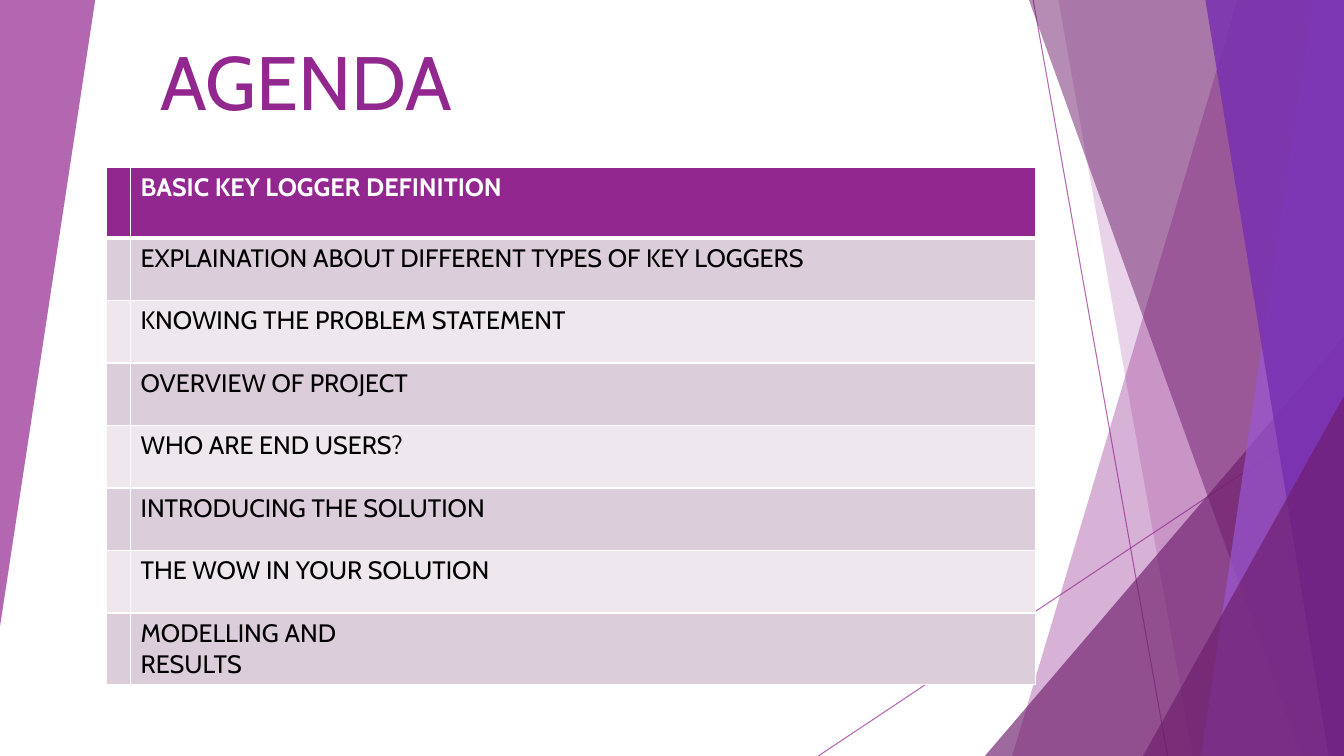
from dataclasses import dataclass

from lxml.etree import SubElement
from pptx import Presentation
from pptx.dml.color import RGBColor
from pptx.enum.shapes import MSO_CONNECTOR, MSO_SHAPE
from pptx.enum.text import MSO_ANCHOR
from pptx.oxml import parse_xml
from pptx.oxml.ns import nsdecls, qn
from pptx.util import Pt


@dataclass(frozen=True)
class Theme:
    font: str = "Cabin"
    title: float = 54
    body: float = 18
    main: str = "92278F"
    dark: str = "6D1D6B"
    light: str = "9B57D3"
    deep: str = "762EB1"
    odd: str = "DCCDDB"
    even: str = "EEE8EE"
    white: str = "FFFFFF"
    black: str = "000000"


THEME = Theme()
WIDE, HIGH = 960, 540
ITEMS = [
    "BASIC KEY LOGGER DEFINITION",
    "EXPLAINATION ABOUT DIFFERENT TYPES OF KEY LOGGERS",
    "KNOWING THE PROBLEM STATEMENT",
    "OVERVIEW OF PROJECT",
    "WHO ARE END USERS?",
    "INTRODUCING THE SOLUTION",
    "THE WOW IN YOUR SOLUTION",
    "MODELLING AND\nRESULTS",
]


def fade(shape, alpha):
    for color in shape.element.spPr.iter(qn("a:srgbClr")):
        SubElement(color, qn("a:alpha")).set("val", str(alpha * 1000))


def paint(shape, color, alpha):
    shape.shadow.inherit = False
    shape.fill.solid()
    shape.fill.fore_color.rgb = RGBColor.from_string(color)
    shape.line.fill.background()
    fade(shape, alpha)


def add_facet(slide, points, color, alpha):
    spots = [(Pt(x), Pt(y)) for x, y in points]
    pen = slide.shapes.build_freeform(*spots[0])
    pen.add_line_segments(spots[1:], close=True)
    paint(pen.convert_to_shape(), color, alpha)


def add_band(slide, top, base, color, alpha):
    points = [(top, 0), (WIDE, 0), (WIDE, HIGH), (base, HIGH)]
    add_facet(slide, points, color, alpha)


def add_wedge(slide, left, top, color, alpha):
    shape = slide.shapes.add_shape(
        MSO_SHAPE.ISOSCELES_TRIANGLE,
        Pt(left), Pt(top), Pt(WIDE - left), Pt(HIGH - top))
    shape.adjustments[0] = 1
    paint(shape, color, alpha)


def add_ray(slide, start, end):
    ray = slide.shapes.add_connector(
        MSO_CONNECTOR.STRAIGHT, *(Pt(n) for n in start + end))
    ray.line.width = Pt(0.75)
    ray.line.color.rgb = RGBColor.from_string(THEME.main)
    fade(ray, 70)
    SubElement(ray.element.spPr, qn("a:effectLst"))


def write(frame, text, size, color, bold=False):
    frame.text = text
    for line in frame.paragraphs:
        for run in line.runs:
            run.font.name = THEME.font
            run.font.size = Pt(size)
            run.font.bold = bold
            run.font.color.rgb = RGBColor.from_string(color)


def add_title(slide, text):
    box = slide.shapes.add_textbox(Pt(107.3), Pt(19.4), Pt(296), Pt(74.2))
    frame = box.text_frame
    frame.word_wrap = True
    frame.vertical_anchor = MSO_ANCHOR.BOTTOM
    write(frame, text, THEME.title, THEME.main)


def style_cell(cell, color, row):
    cell.fill.solid()
    cell.fill.fore_color.rgb = RGBColor.from_string(color)
    widths = {"L": 1, "R": 1, "T": 3 if row == 1 else 1,
              "B": 3 if row == 0 else 1}
    props = cell._tc.get_or_add_tcPr()
    for spot, (side, width) in enumerate(widths.items()):
        props.insert(spot, parse_xml(
            f'<a:ln{side} {nsdecls("a")} w="{Pt(width)}"><a:solidFill>'
            f'<a:srgbClr val="{THEME.white}"/></a:solidFill></a:ln{side}>'))


def add_list(slide, items):
    highs = [50.2] + [44.7] * (len(items) - 2) + [50.8]
    widths = [16.8, 646.4]
    table = slide.shapes.add_table(
        len(items), 2, Pt(76), Pt(119.7),
        Pt(sum(widths)), Pt(sum(highs))).table
    for column, width in zip(table.columns, widths):
        column.width = Pt(width)
    for row, (item, high) in enumerate(zip(items, highs)):
        table.rows[row].height = Pt(high)
        head = row == 0
        fill = THEME.main if head else THEME.odd if row % 2 else THEME.even
        for cell in table.rows[row].cells:
            style_cell(cell, fill, row)
        ink = THEME.white if head else THEME.black
        write(table.cell(row, 1).text_frame, item, THEME.body, ink, head)


def add_decor(slide):
    add_facet(slide, [(0, 0), (68, 0), (0, 447.5)], THEME.main, 70)
    add_ray(slide, (738, 0), (834, HIGH))
    add_ray(slide, (WIDE, 290), (584.5, HIGH))
    add_band(slide, 884, 723, THEME.main, 36)
    add_band(slide, 756, 852, THEME.main, 20)
    add_wedge(slide, 703.5, 240, THEME.dark, 66)
    add_band(slide, 735, 929.5, THEME.dark, 50)
    add_band(slide, 938, 858, THEME.light, 70)
    add_band(slide, 861, 949, THEME.deep, 80)
    add_wedge(slide, 816.5, 283, THEME.dark, 66)


def main():
    deck = Presentation()
    deck.slide_width, deck.slide_height = Pt(WIDE), Pt(HIGH)
    slide = deck.slides.add_slide(deck.slide_layouts[6])
    add_decor(slide)
    add_title(slide, "AGENDA")
    add_list(slide, ITEMS)
    deck.save("out.pptx")


if __name__ == "__main__":
    main()
